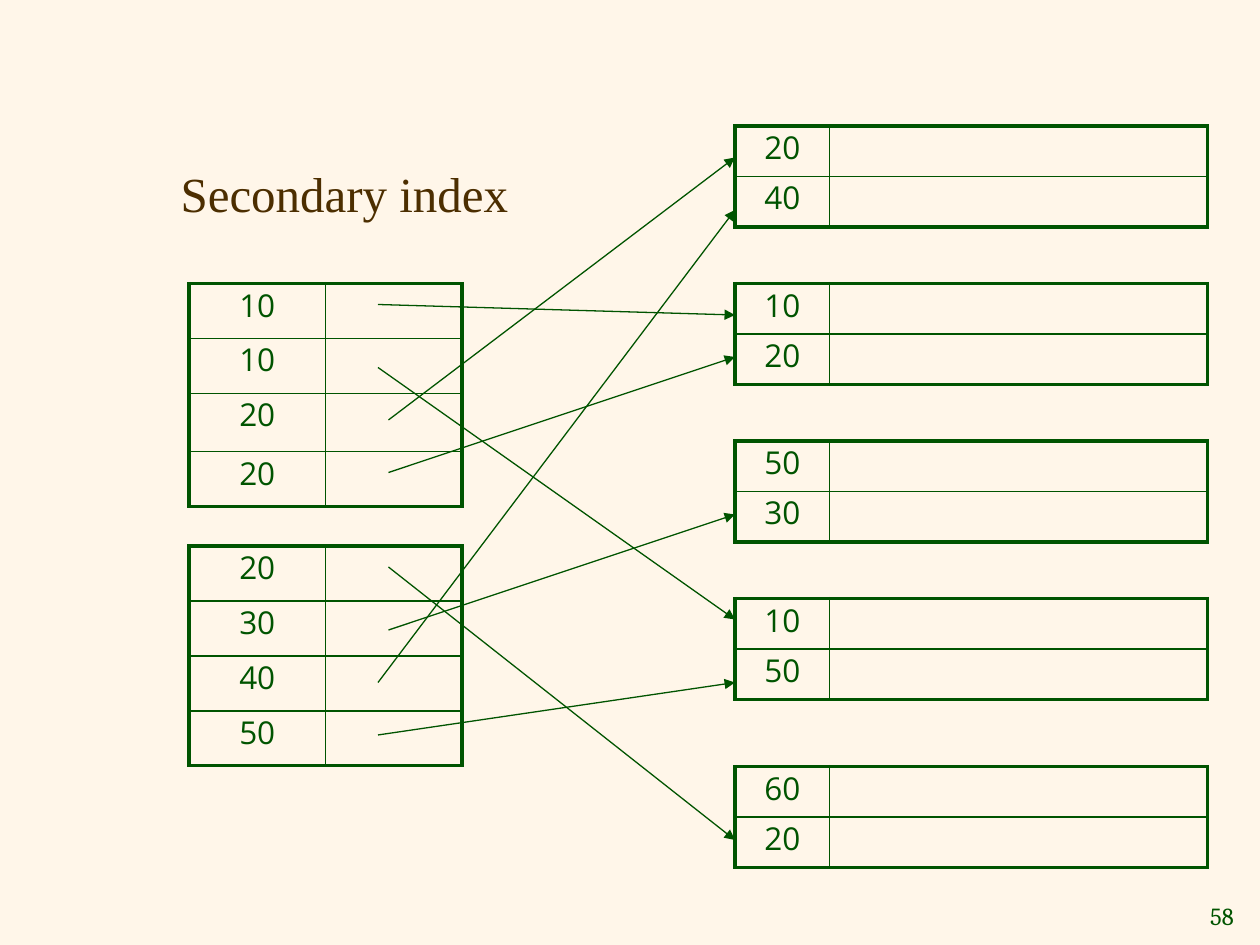
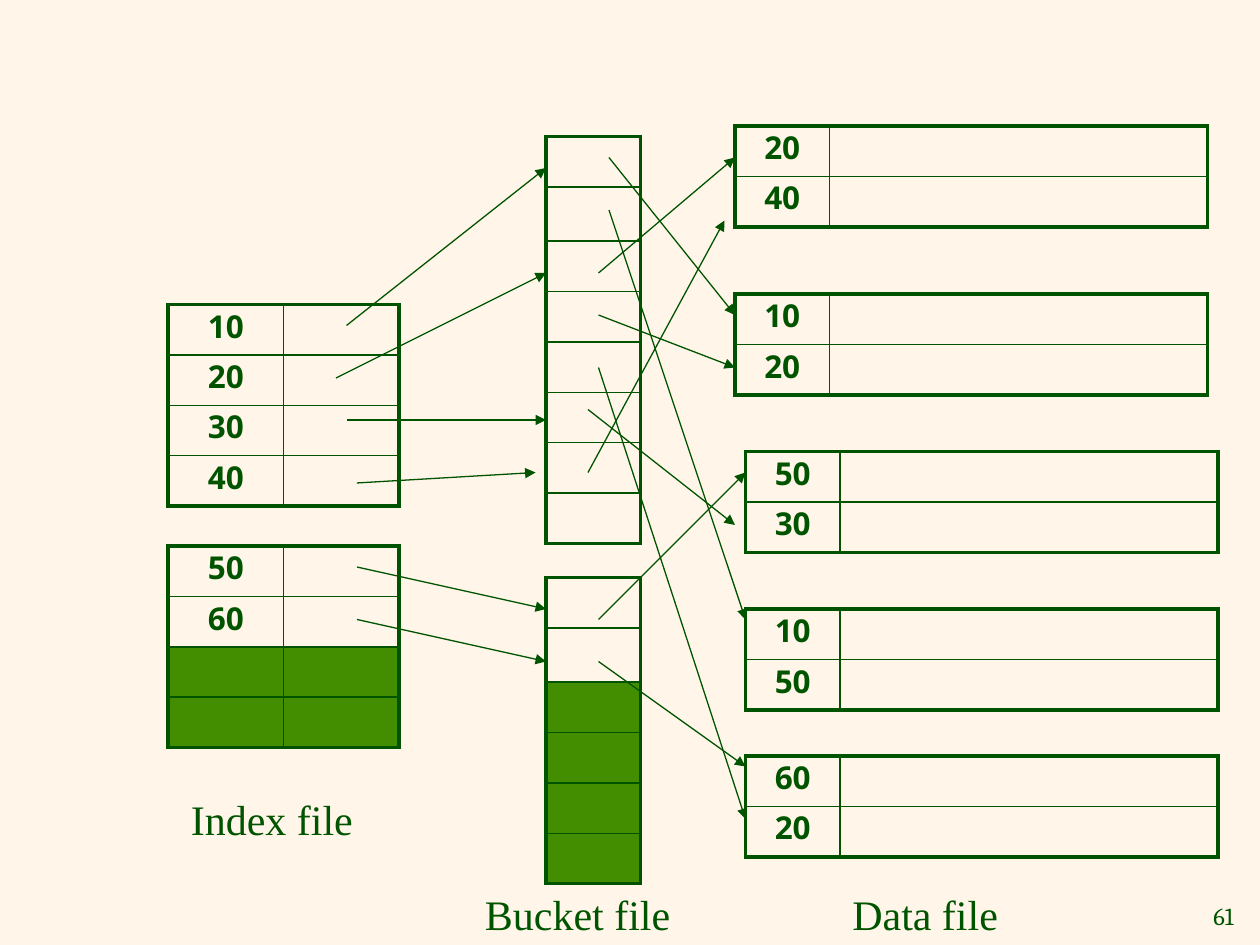
"""Build two slides on secondary indexes: direct pointers, then pointers through buckets."""
from lxml.etree import SubElement
from pptx import Presentation
from pptx.dml.color import RGBColor
from pptx.enum.shapes import MSO_CONNECTOR
from pptx.enum.text import MSO_ANCHOR, PP_ALIGN
from pptx.oxml.ns import qn
from pptx.util import Pt

COLORS = {"paper": "FFF6E9", "ink": "005400", "title": "4C2E00", "spare": "438E00"}
ROW = 28.8
INDEX_ROW = 31.4
SPARE = None
DATA_COLUMNS = (54, 216)
DATA_PAIRS = (("20", "40"), ("10", "20"), ("50", "30"), ("10", "50"), ("60", "20"))
DATA_PLACES = (
    ((420, 72), (420, 162), (420, 252), (420, 342), (420, 438)),
    ((420, 72), (420, 168), (426, 258), (426, 348), (426, 432)),
)

SLIDES = [
    {
        "number": "58",
        "title": "Secondary index",
        "bold": False,
        "blocks": [
            (108, 162, (78, 78), (INDEX_ROW, INDEX_ROW, 33.2, INDEX_ROW), ("10", "10", "20", "20")),
            (108, 312, (78, 78), (INDEX_ROW,) * 4, ("20", "30", "40", "50")),
        ],
        "arrows": [
            (216, 174, 420, 180), (216, 210, 420, 354), (222, 240, 420, 90), (222, 270, 420, 204),
            (222, 324, 420, 480), (222, 360, 420, 294), (216, 390, 420, 120), (216, 420, 420, 390),
        ],
        "labels": [],
    },
    {
        "number": "61",
        "title": None,
        "bold": True,
        "blocks": [
            (96, 174, (66, 66), (ROW,) * 4, ("10", "20", "30", "40")),
            (96, 312, (66, 66), (ROW,) * 4, ("50", "60", SPARE, SPARE)),
            (312, 78, (54,), (ROW, 31) + (ROW,) * 6, ("",) * 8),
            (312, 330, (54,), (ROW, 31) + (ROW,) * 4, ("", "") + (SPARE,) * 4),
        ],
        "arrows": [
            (198, 186, 312, 96), (348, 90, 420, 180), (348, 120, 426, 354), (192, 216, 312, 156),
            (342, 156, 420, 90), (342, 180, 420, 210), (342, 210, 426, 468), (198, 240, 312, 240),
            (336, 234, 420, 300), (204, 276, 306, 270), (336, 270, 414, 126), (204, 324, 312, 348),
            (342, 354, 426, 270), (204, 354, 312, 378), (342, 378, 426, 438),
        ],
        "labels": [("Index file", 102, 450, 126), ("Data file", 480, 504, 180), ("Bucket file", 270, 504, 126)],
    },
]


def write(text_frame, text, font, size, color="ink", align=PP_ALIGN.LEFT, bold=False):
    text_frame.text = text
    paragraph = text_frame.paragraphs[0]
    paragraph.alignment = align
    for run in paragraph.runs:
        run.font.name = font
        run.font.size = Pt(size)
        run.font.bold = bold
        run.font.color.rgb = RGBColor.from_string(COLORS[color])
    return paragraph


def add_border(cell, side, width):
    line = SubElement(cell._tc.get_or_add_tcPr(), qn("a:" + side), w=str(Pt(width)))
    fill = SubElement(line, qn("a:solidFill"))
    SubElement(fill, qn("a:srgbClr"), val=COLORS["ink"])


presentation = Presentation()
presentation.slide_width = Pt(720)
presentation.slide_height = Pt(540)
background = presentation.slide_master.background.fill
background.solid()
background.fore_color.rgb = RGBColor.from_string(COLORS["paper"])
title_only, blank = presentation.slide_layouts[5], presentation.slide_layouts[6]

for content, places in zip(SLIDES, DATA_PLACES):
    slide = presentation.slides.add_slide(title_only if content["title"] else blank)
    if content["title"]:
        title = slide.shapes.title
        title.left, title.top, title.width, title.height = Pt(96), Pt(90), Pt(270), Pt(41)
        title.text_frame.vertical_anchor = MSO_ANCHOR.TOP
        title.text_frame.word_wrap = True
        write(title.text_frame, content["title"], "Times New Roman", 28, "title")

    number = slide.shapes.add_textbox(Pt(680.4), Pt(511.2), Pt(31.7), Pt(23.8))
    number.text_frame.vertical_anchor = MSO_ANCHOR.MIDDLE
    number.text_frame.word_wrap = False
    write(number.text_frame, content["number"], "Cambria", 14, align=PP_ALIGN.RIGHT)

    data_blocks = [
        (left, top, DATA_COLUMNS, (ROW, ROW), pair) for (left, top), pair in zip(places, DATA_PAIRS)
    ]
    for left, top, widths, heights, keys in content["blocks"] + data_blocks:
        frame = slide.shapes.add_table(
            len(heights), len(widths), Pt(left), Pt(top), Pt(sum(widths)), Pt(sum(heights))
        )
        table = frame.table
        table.first_row = table.horz_banding = False
        for column, width in zip(table.columns, widths):
            column.width = Pt(width)
        for row_index, (height, key) in enumerate(zip(heights, keys)):
            table.rows[row_index].height = Pt(height)
            for column_index in range(len(widths)):
                cell = table.cell(row_index, column_index)
                cell.margin_top = cell.margin_bottom = 0
                outer_sides = {
                    "lnL": column_index == 0,
                    "lnR": column_index == len(widths) - 1,
                    "lnT": row_index == 0,
                    "lnB": row_index == len(heights) - 1,
                }
                for side, outer in outer_sides.items():
                    add_border(cell, side, 2.25 if outer else 1)
                if key is SPARE:
                    cell.fill.solid()
                    cell.fill.fore_color.rgb = RGBColor.from_string(COLORS["spare"])
                else:
                    cell.fill.background()
                if key and column_index == 0:
                    paragraph = write(
                        cell.text_frame, key, "Open Sans", 18, align=PP_ALIGN.CENTER, bold=content["bold"]
                    )
                    paragraph.space_before = Pt(3.6)

    for points in content["arrows"]:
        arrow = slide.shapes.add_connector(MSO_CONNECTOR.STRAIGHT, *map(Pt, points))
        arrow.line.width = Pt(0.75)
        arrow.line.color.rgb = RGBColor.from_string(COLORS["ink"])
        SubElement(arrow.line._get_or_add_ln(), qn("a:tailEnd"), type="triangle")
        SubElement(arrow._element.spPr, qn("a:effectLst"))

    for text, left, top, width in content["labels"]:
        label = slide.shapes.add_textbox(Pt(left), Pt(top), Pt(width), Pt(36))
        label.text_frame.word_wrap = True
        write(label.text_frame, text, "Times New Roman", 24)

presentation.save("out.pptx")
